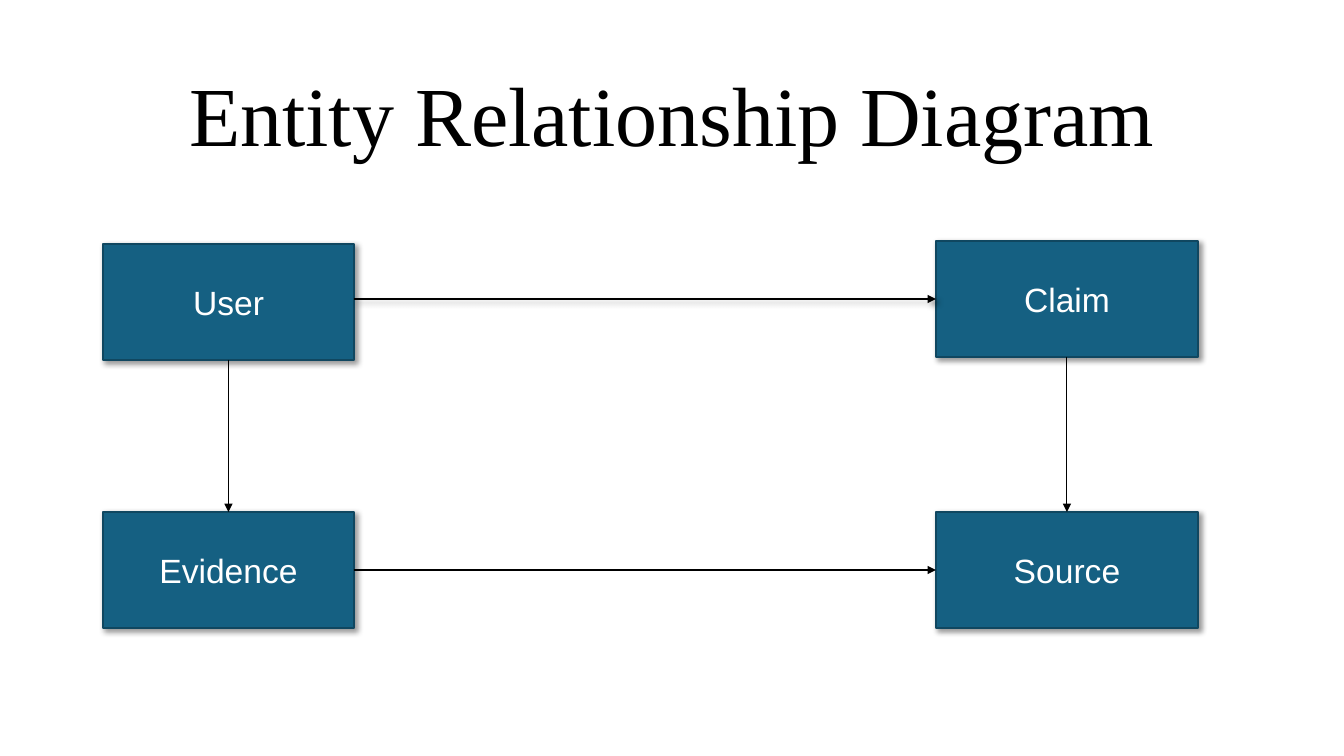
import pptx
import pptx.util
import pptx.dml.color
import pptx.enum.shapes
import pptx.enum.text
import pptx.oxml
import pptx.oxml.ns

PX = 12192000 / 1344
COLOR = {"fill": "156082", "edge": "104760", "ink": "000000", "white": "FFFFFF"}
RGB = pptx.dml.color.RGBColor.from_string


def write(shape, text, size, font, color, spacing=1.0):
    frame = shape.text_frame
    frame.text = text
    frame.word_wrap = True
    frame.auto_size = pptx.enum.text.MSO_AUTO_SIZE.NONE
    frame.vertical_anchor = pptx.enum.text.MSO_ANCHOR.MIDDLE
    para = frame.paragraphs[0]
    para.alignment = pptx.enum.text.PP_ALIGN.CENTER
    para.line_spacing = spacing
    style = para.runs[0].font
    style.size = pptx.util.Pt(size)
    style.name = font
    style.color.rgb = RGB(color)


def effect(shape, shadow):
    """Add a soft lower-right shadow, or an empty effect list for none."""
    soft = (
        '<a:outerShdw blurRad="50800" dist="38100" dir="2700000" algn="tl" rotWithShape="0">'
        f'<a:srgbClr val="{COLOR["ink"]}"><a:alpha val="40000"/></a:srgbClr></a:outerShdw>'
    )
    space = pptx.oxml.ns.nsdecls("a")
    xml = f"<a:effectLst {space}>{soft if shadow else ''}</a:effectLst>"
    shape.element.spPr.append(pptx.oxml.parse_xml(xml))


deck = pptx.Presentation()
deck.slide_width = round(1344 * PX)
deck.slide_height = round(756 * PX)
slide = deck.slides.add_slide(deck.slide_layouts[5])

title = slide.shapes.title
title.left, title.top, title.width, title.height = [
    round(n * PX) for n in (168, 67, 1008, 105)
]
write(title, "Entity Relationship Diagram", 60, "Times New Roman", COLOR["ink"], spacing=0.9)

boxes = {}
for name, left, top, width in (
    ("User", 103, 244, 251),
    ("Claim", 936, 241, 262),
    ("Source", 936, 512, 262),
    ("Evidence", 103, 512, 251),
):
    box = slide.shapes.add_shape(
        pptx.enum.shapes.MSO_SHAPE.RECTANGLE,
        *[round(n * PX) for n in (left, top, width, 116)],
    )
    box.fill.solid()
    box.fill.fore_color.rgb = RGB(COLOR["fill"])
    box.line.color.rgb = RGB(COLOR["edge"])
    box.line.width = pptx.util.Pt(2)
    effect(box, True)
    write(box, name, 24, "Arial", COLOR["white"])
    boxes[name] = box

BOTTOM, RIGHT, TOP, LEFT = 2, 3, 0, 1
for start, exit_side, end, entry_side in (
    ("User", RIGHT, "Claim", LEFT),
    ("User", BOTTOM, "Evidence", TOP),
    ("Evidence", RIGHT, "Source", LEFT),
    ("Claim", BOTTOM, "Source", TOP),
):
    # The arrow into Claim stays level, just above the middle of User.
    level = (start, end) == ("User", "Claim")
    arrow = slide.shapes.add_connector(
        pptx.enum.shapes.MSO_CONNECTOR.STRAIGHT,
        *[round(n * PX) for n in (354, 299, 936, 299)],
    )
    if not level:
        arrow.begin_connect(boxes[start], exit_side)
    arrow.end_connect(boxes[end], entry_side)
    arrow.line.color.rgb = RGB(COLOR["ink"])
    arrow.line.width = pptx.util.Pt(0.75)
    line = arrow.element.spPr.find(pptx.oxml.ns.qn("a:ln"))
    line.append(pptx.oxml.parse_xml(
        f'<a:tailEnd {pptx.oxml.ns.nsdecls("a")} type="triangle"/>'
    ))
    effect(arrow, level)

deck.save("out.pptx")
